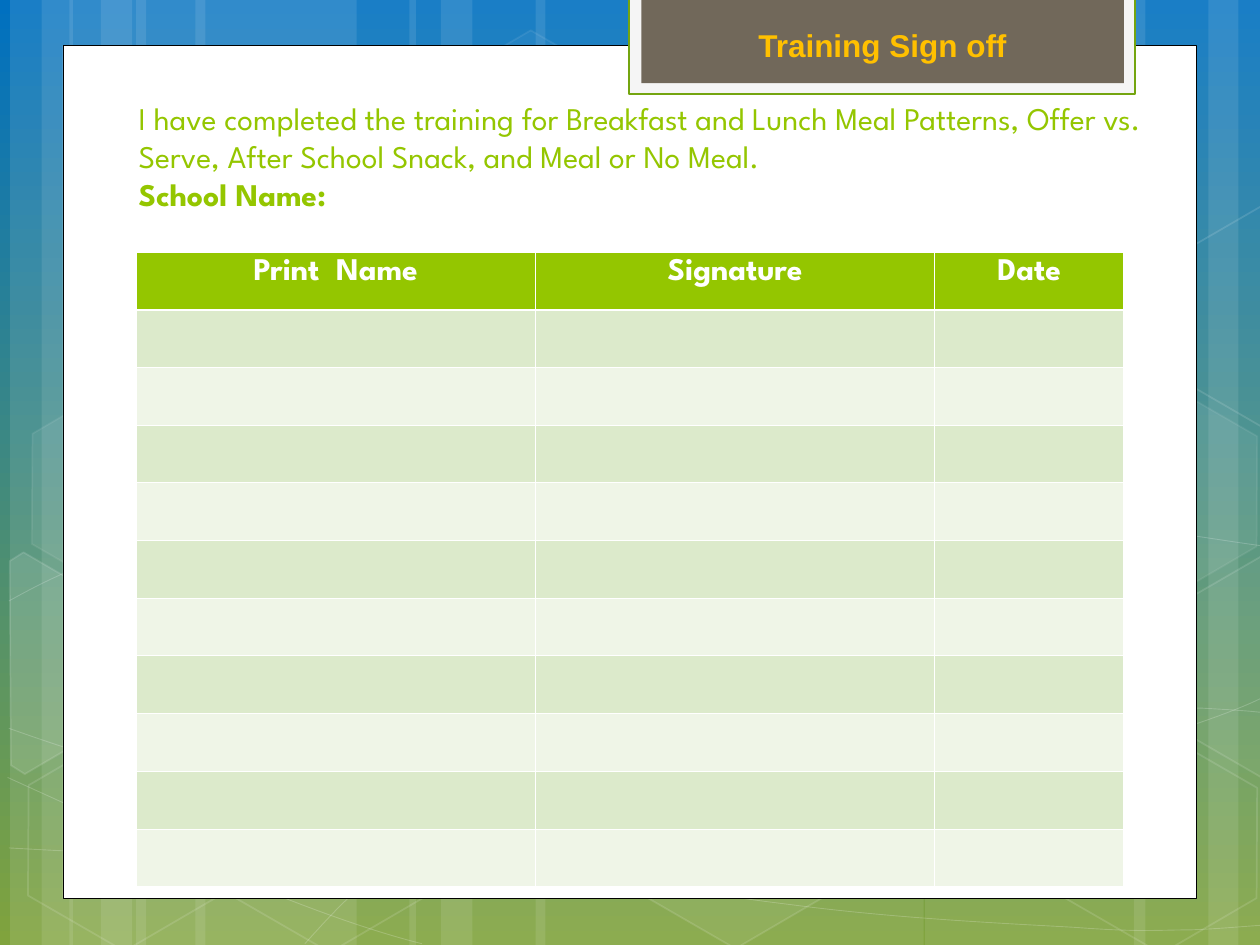
"""Build the training sign-off slide with its signature table."""
from math import cos, radians, sin

from lxml import etree
from pptx import Presentation
from pptx.dml.color import RGBColor
from pptx.enum.shapes import MSO_SHAPE
from pptx.enum.text import MSO_ANCHOR, MSO_AUTO_SIZE, PP_ALIGN
from pptx.oxml.ns import qn
from pptx.util import Inches, Pt

RECTANGLE, HEXAGON = MSO_SHAPE.RECTANGLE, MSO_SHAPE.HEXAGON
BOTTOM, TOP, NO_FIT = MSO_ANCHOR.BOTTOM, MSO_ANCHOR.TOP, MSO_AUTO_SIZE.NONE
LEFT, CENTER = PP_ALIGN.LEFT, PP_ALIGN.CENTER

COLORS = {
    "sky": "0070C0", "grass": "80A33D", "white": "FFFFFF", "black": "000000",
    "lime": "94C600", "edge": "74A510", "tab": "F5F5F5", "stone": "71685A",
    "gold": "FFC000", "band": "DCEACB", "pale": "EFF5E7",
}
RGB = {name: RGBColor.from_string(value) for name, value in COLORS.items()}


def paint(shape, fill=None, line=None, width=1, fill_alpha=100, line_alpha=100):
    """Set fill and line, with opacities in percent."""
    shape.shadow.inherit = False
    properties = shape._element.spPr
    for name, target, alpha, holder in (
        (fill, shape.fill, fill_alpha, "a:solidFill"),
        (line, shape.line.fill, line_alpha, "a:ln/a:solidFill"),
    ):
        if not name or not alpha:
            target.background()
            continue
        target.solid()
        target.fore_color.rgb = RGB[name]
        if alpha < 100:
            steps = "/".join(qn(step) for step in holder.split("/"))
            color = properties.find(steps + "/" + qn("a:srgbClr"))
            etree.SubElement(color, qn("a:alpha"), val=str(alpha * 1000))
    if line:
        shape.line.width = Pt(width)


def write(para, text, format_values):
    """Add a formatted span of text to a paragraph."""
    span = para.add_run()
    span.text = text
    for name, value in format_values.items():
        if name == "color":
            span.font.color.rgb = RGB[value]
        else:
            setattr(span.font, name, value)


deck = Presentation()
deck.slide_width, deck.slide_height = Inches(10), Inches(7.5)
page = deck.slides.add_slide(deck.slide_layouts[5])
shapes = page.shapes

background = page.background.fill
background.gradient()
background.gradient_angle = 270
for stop, name in zip(background.gradient_stops, ("sky", "grass")):
    stop.color.rgb = RGB[name]

stripes = [
    (1.08, 1.75), (0.08, 0.5), (0.33, 0.83), (1.55, 1.75), (0.55, 0.5), (0.8, 0.83),
    (7.34, 1.75), (9.59, 0.5), (9, 0.83), (4.25, 3.08), (3.25, 0.5), (3.5, 0.83),
]
for left, width in stripes:
    stripe = shapes.add_shape(RECTANGLE, Inches(left), 0, Inches(width), Inches(7.5))
    paint(stripe, "white", fill_alpha=10)

curves = [
    [(0.07, 6.73), (0.61, 6.76), (1.15, 6.79), (1.9, 6.78), (2.65, 6.77), (3.58, 6.75),
     (4.58, 6.65), (5.58, 6.55), (7, 6.36), (7.92, 6.17), (8.83, 5.98), (9.77, 5.68),
     (10.07, 5.51)],
    [(0.07, 4.77), (0.36, 4.61), (0.65, 4.46), (1.21, 4.31), (1.78, 4.16), (2.59, 3.94),
     (3.47, 3.87), (4.36, 3.8), (5.44, 3.79), (6.54, 3.87), (7.64, 3.95), (9.47, 4.26),
     (10.07, 4.34)],
    [(0.06, 6.17), (1.27, 6.72), (2.47, 7.27), (3.35, 7.49)],
    [(0.07, 5.78), (0.38, 5.89), (0.7, 6), (1.28, 6.16), (1.86, 6.31), (2.73, 6.56),
     (3.57, 6.73), (4.4, 6.9), (5.45, 7.08), (6.28, 7.18), (7.11, 7.29), (8, 7.33),
     (8.53, 7.36), (9.06, 7.4), (9.19, 7.38), (9.45, 7.38), (9.71, 7.37), (9.89, 7.35),
     (10.07, 7.34)],
    [(2.42, 7.49), (2.6, 7.29), (2.78, 7.09), (3.02, 6.91), (3.26, 6.72), (3.6, 6.53),
     (3.88, 6.39), (4.16, 6.25), (4.33, 6.19), (4.69, 6.09), (5.06, 5.99), (5.73, 5.85),
     (6.08, 5.78), (6.44, 5.71), (6.49, 5.71), (6.8, 5.69), (7.11, 5.66), (7.6, 5.63),
     (7.94, 5.62), (8.29, 5.61), (8.86, 5.62), (8.86, 5.62), (9.08, 5.62), (9.31, 5.62),
     (9.53, 5.62), (9.71, 5.63), (9.88, 5.64), (9.97, 5.65), (10.06, 5.66),
     (10.03, 5.65), (10.06, 5.66)],
]
for curve in curves:
    points = [(Inches(x), Inches(y)) for x, y in curve]
    builder = shapes.build_freeform(*points[0])
    builder.add_line_segments(points[1:], close=False)
    wave = builder.convert_to_shape()
    outline = wave._element.spPr.find(".//" + qn("a:path"))
    segments = outline.findall(qn("a:lnTo"))
    for first in range(0, len(segments), 3):
        bend = etree.SubElement(outline, qn("a:cubicBezTo"))
        for segment in segments[first:first + 3]:
            bend.append(segment[0])
            outline.remove(segment)
    paint(wave, line="white", width=0.5, line_alpha=20)

hexagons = [
    (3.34, 0.36, 4, 8), (4.96, 5.89, 6, 12), (0.11, 5.91, 0, 12), (0.14, 3.12, 7, 8),
    (1.74, 5.92, 0, 12), (7.53, 4.53, 10, 12), (8.34, 5.93, 0, 12), (8.34, 3.14, 7, 8),
]
for left, top, fill_alpha, line_alpha in hexagons:
    hexagon = shapes.add_shape(
        HEXAGON, Inches(left), Inches(top), Inches(1.75), Inches(1.52))
    hexagon.adjustments[0], hexagon.adjustments[1] = 0.285, 1.155
    hexagon.rotation = 30
    paint(hexagon, "white", "white", 1, fill_alpha, line_alpha)

cut_hexagons = [
    (10, (0.36, 5.36), [(0.08, 4.45), (0.19, 4.38), (0.96, 4.83), (0.95, 5.7),
                        (0.2, 6.14), (0.09, 6.07)]),
    (4, (9.85, 5.2), [(9.26, 4.85), (10.02, 4.41), (10.09, 4.46), (10.09, 6.13),
                      (10.02, 6.17), (9.26, 5.73)]),
    (0, (9.85, 2.41), [(9.26, 2.07), (10.02, 1.63), (10.1, 1.68), (10.09, 3.35),
                       (10.02, 3.39), (9.26, 2.95)]),
]
cosine, sine = cos(radians(30)), sin(radians(30))
for fill_alpha, (middle_x, middle_y), corners in cut_hexagons:
    points = [
        (Inches(middle_x + (x - middle_x) * cosine + (y - middle_y) * sine),
         Inches(middle_y - (x - middle_x) * sine + (y - middle_y) * cosine))
        for x, y in corners
    ]
    builder = shapes.build_freeform(*points[0])
    builder.add_line_segments(points[1:], close=True)
    cut_hexagon = builder.convert_to_shape()
    cut_hexagon.rotation = 30
    paint(cut_hexagon, "white", "white", 1, fill_alpha, 12)

panels = [
    ((0.5, 0.36, 9, 6.77), "white", "black", 0.5),
    ((4.99, -0.02, 4.02, 0.77), "tab", "edge", 1.25),
    ((5.09, -0.02, 3.83, 0.68), "stone", None, 0),
]
for place, fill, line, width in panels:
    paint(shapes.add_shape(RECTANGLE, *map(Inches, place)), fill, line, width)

title = shapes.title
shapes._spTree.append(title._element)
title.left, title.top, title.width, title.height = map(Inches, (1, 0.66, 8.33, 1.08))
frame = title.text_frame
frame.word_wrap, frame.auto_size, frame.vertical_anchor = True, NO_FIT, BOTTOM
para = frame.paragraphs[0]
para.alignment = LEFT
statement = {"size": Pt(18), "name": "League Spartan", "color": "lime", "bold": False}
write(para, "I have completed the training for Breakfast and Lunch Meal Patterns, "
            "Offer vs. Serve, After School Snack, and Meal or No Meal.", statement)
para.add_line_break()
write(para, "School Name:", {**statement, "bold": True})

box = shapes.add_textbox(*map(Inches, (5.92, 0.16, 2.42, 0.4)))
box.text_frame.word_wrap = True
write(box.text_frame.paragraphs[0], "Training Sign off",
      {"size": Pt(18), "name": "Arial", "color": "gold", "bold": True})

headings = ("Print  Name", "Signature", "Date")
table = shapes.add_table(
    11, 3, Inches(1.08), Inches(2), Inches(7.83), Inches(5.04)).table
table.horz_banding = False
for column, width in zip(table.columns, (3.17, 3.17, 1.5)):
    column.width = Inches(width)
for row_index, row in enumerate(table.rows):
    for column_index, cell in enumerate(row.cells):
        cell.fill.solid()
        name = "lime" if row_index == 0 else ("pale", "band")[row_index % 2]
        cell.fill.fore_color.rgb = RGB[name]
        cell.vertical_anchor = TOP
        if row_index == 0:
            para = cell.text_frame.paragraphs[0]
            para.alignment = CENTER
            write(para, headings[column_index], {**statement, "color": "white", "bold": True})
        heavy = {0: "a:lnB", 1: "a:lnT"}.get(row_index)
        for order, side in enumerate(("a:lnL", "a:lnR", "a:lnT", "a:lnB")):
            border = etree.Element(qn(side), w=str(Pt(1.47 if side == heavy else 0.45)))
            border_fill = etree.SubElement(border, qn("a:solidFill"))
            etree.SubElement(border_fill, qn("a:srgbClr"), val=COLORS["white"])
            cell._tc.get_or_add_tcPr().insert(order, border)

deck.save("out.pptx")
